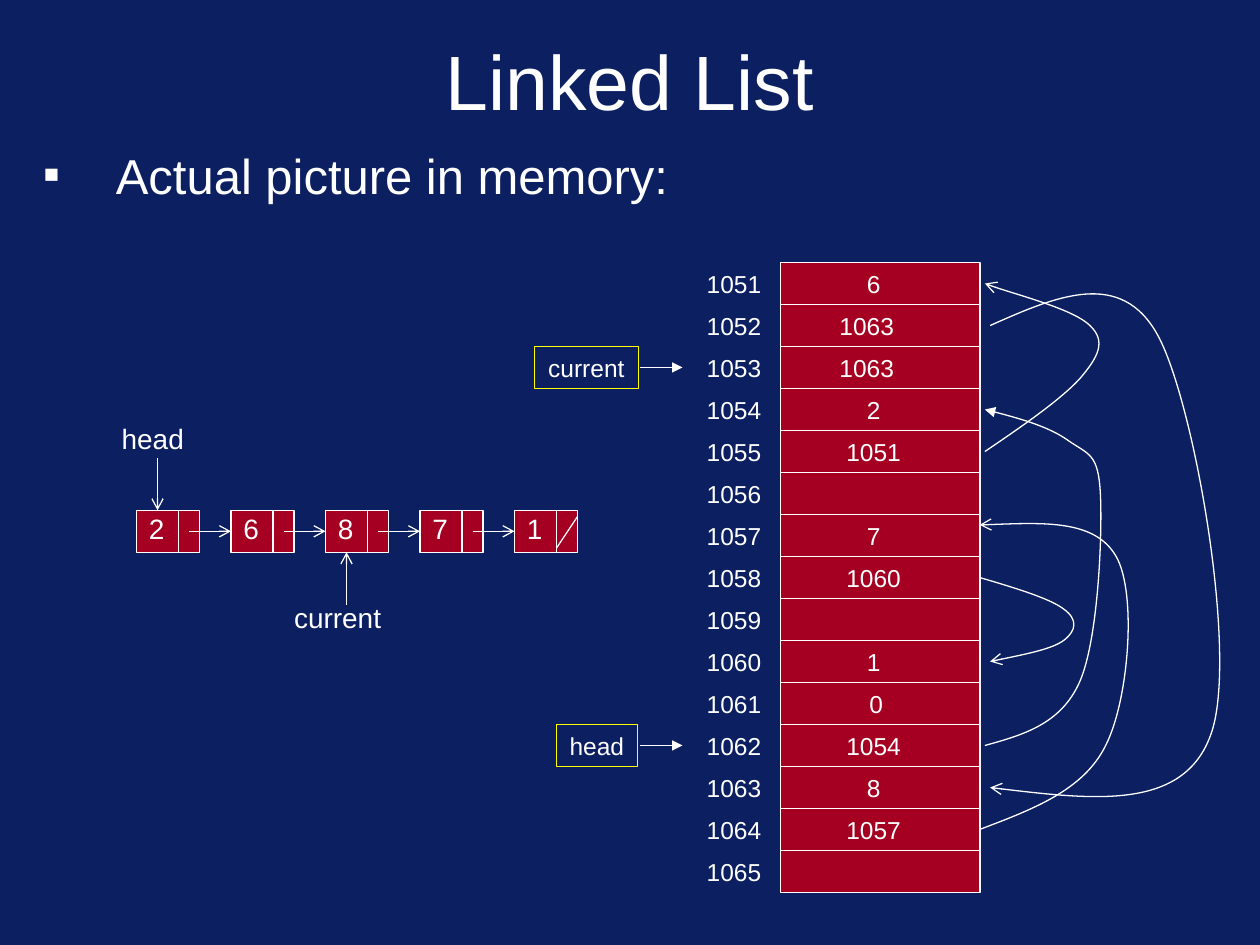
from dataclasses import dataclass

from lxml.etree import SubElement
from pptx import Presentation
from pptx.dml.color import RGBColor
from pptx.enum.shapes import MSO_CONNECTOR, MSO_SHAPE
from pptx.enum.text import MSO_ANCHOR, MSO_AUTO_SIZE, PP_ALIGN
from pptx.oxml.ns import qn
from pptx.util import Inches, Pt


@dataclass(frozen=True)
class Theme:
    font: str = "Arial"
    back: RGBColor = RGBColor(0x0B, 0x1F, 0x61)
    cell: RGBColor = RGBColor(0xA5, 0x00, 0x21)
    ink: RGBColor = RGBColor(0xFF, 0xFF, 0xFF)
    frame: RGBColor = RGBColor(0xFF, 0xFF, 0x00)
    title: int = 44
    body: int = 28
    tag: int = 16
    memo: int = 14
    stroke: float = 0.75


theme = Theme()
deck = Presentation()
deck.slide_width, deck.slide_height = Inches(10), Inches(7.5)
unit = deck.slide_width / 120  # the slide is a grid of 120 columns by 90 rows
slide = deck.slides.add_slide(deck.slide_layouts[6])
slide.background.fill.solid()
slide.background.fill.fore_color.rgb = theme.back
shapes = slide.shapes


def write(text, box, size, align=PP_ALIGN.CENTER, wrap=False):
    item = shapes.add_textbox(*(round(n * unit) for n in box))
    frame = item.text_frame
    frame.word_wrap = wrap
    frame.auto_size = MSO_AUTO_SIZE.SHAPE_TO_FIT_TEXT
    para = frame.paragraphs[0]
    para.alignment = align
    run = para.add_run()
    run.text = text
    run.font.name, run.font.size = theme.font, Pt(size)
    run.font.color.rgb = theme.ink
    return item


def draw(kind, points, tip=None):
    """Draw a "box" or "line" between two corners, or a "curve" of Bezier points."""
    spots = [(round(x * unit), round(y * unit)) for x, y in points]
    (left, top), (right, low) = spots[0], spots[-1]
    if kind == "line":
        item = shapes.add_connector(MSO_CONNECTOR.STRAIGHT, left, top, right, low)
    elif kind == "box":
        item = shapes.add_shape(MSO_SHAPE.RECTANGLE, left, top, right - left, low - top)
        item.fill.solid()
        item.fill.fore_color.rgb = theme.cell
    else:
        pen = shapes.build_freeform(left, top)
        pen.add_line_segments(spots[1:], close=False)
        item = pen.convert_to_shape()
        item.fill.background()
        legs = list(item._element.iter(qn("a:lnTo")))
        for i in range(0, len(legs), 3):
            bend = SubElement(legs[i].getparent(), qn("a:cubicBezTo"))
            for leg in legs[i:i + 3]:
                bend.append(leg[0])
                leg.getparent().remove(leg)
    item.line.color.rgb, item.line.width = theme.ink, Pt(theme.stroke)
    props = item._element.spPr
    if tip:
        SubElement(props.find(qn("a:ln")), qn("a:tailEnd"), type=tip)
    SubElement(props, qn("a:effectLst"))
    return item


# Heading and bullet
head = write("Linked List", (6, 2.8, 108, 9.5), theme.title, wrap=True)
head.text_frame.auto_size = MSO_AUTO_SIZE.NONE
head.text_frame.vertical_anchor = MSO_ANCHOR.MIDDLE

body = write("Actual picture in memory:", (2.9, 14.3, 108, 9), theme.body, PP_ALIGN.LEFT, True)
body.text_frame.auto_size = MSO_AUTO_SIZE.NONE
para = body.text_frame.paragraphs[0]
para.line_spacing = 0.8
props = para._p.get_or_add_pPr()
props.set("marL", str(Inches(0.58)))
props.set("indent", str(-Inches(0.58)))
SubElement(props, qn("a:buFont"), typeface=theme.font)
SubElement(props, qn("a:buChar"), char="▪")

# Memory column: one value and its middle for each address from 1051
left, right, top, row = 74.33, 93.33, 25, 4
mid, near, far = 83.2, 82.55, 83.45
cells = [("6", mid), ("1063", near), ("1063", near), ("2", mid), ("1051", mid),
         ("", mid), ("7", mid), ("1060", mid), ("", mid), ("1", mid), ("0", far),
         ("1054", mid), ("8", mid), ("1057", mid), ("", mid)]
draw("box", [(left, top), (right, top + row * len(cells))])
for i, (value, at) in enumerate(cells):
    y = top + i * row
    if i:
        draw("line", [(left, y), (right, y)])
    write(str(1051 + i), (66.1, y, 7.6, row), theme.memo)
    if value:
        wide = 7.6 if len(value) > 1 else 3.7
        write(value, (at - wide / 2, y, wide, row), theme.memo)

# Variables that point into memory
for name, x, wide, i in (("current", 50.9, 9.9, 2), ("head", 53, 7.7, 11)):
    y = top + i * row
    box = write(name, (x, y, wide, row), theme.memo)
    box.line.color.rgb, box.line.width = theme.frame, Pt(theme.stroke)
    draw("line", [(61, y + row / 2), (65, y + row / 2)], "triangle")

# Links between memory cells
curves = [
    ("arrow", [(93.8, 43), (97.5, 40.5), (101.1, 38), (102.9, 36), (104.6, 34),
               (105.4, 32.5), (103.8, 31), (102.3, 29.5), (95.5, 27.7), (93.8, 27)]),
    ("arrow", [(94.3, 31), (100.6, 28.2), (106.8, 25.5), (110.3, 32), (113.8, 38.5),
               (118, 62.8), (115.3, 70), (112.7, 77.2), (103.5, 76.1), (94.3, 75)]),
    ("arrow", [(93.3, 79), (98.3, 77.1), (103.2, 75.3), (105.3, 71), (107.5, 66.7),
               (108.3, 56.5), (106.3, 53), (104.3, 49.5), (98.8, 49.8), (93.3, 50)]),
    ("arrow", [(93.3, 55), (96.7, 56), (100, 57), (101.3, 58), (102.7, 59),
               (102.5, 60.1), (101.3, 61), (100.2, 61.8), (97.2, 62.4), (94.3, 63)]),
    ("triangle", [(93.8, 71), (97.4, 70), (101, 69), (102.8, 65), (104.6, 61),
                  (105, 50.9), (104.8, 47), (104.6, 43.2), (103.7, 43.3),
                  (101.8, 42), (100, 40.7), (97, 39.8), (93.8, 39)]),
]
for tip, points in curves:
    draw("curve", points, tip)

# Chain of nodes
up, down = 48.6, 52.6
link = None
for i, value in enumerate("26871"):
    x = 13 + 9 * i
    node = draw("box", [(x, up), (x + 6, down)])
    if link:
        link.end_connect(node, 1)
    draw("line", [(x + 4, up), (x + 4, down)])
    write(value, (x, 48.1, 3.2, 4.4), theme.tag, PP_ALIGN.LEFT, True)
    if i < 4:
        link = draw("line", [(x + 5, 50.6), (x + 9, 50.6)], "arrow")
draw("line", [(55, 49.2), (53, 52.2)])

write("head", (10.4, 39.6, 8.3, 4.4), theme.tag)
draw("line", [(15, 43.6), (15, up)], "arrow")
write("current", (26.8, 56.6, 10.7, 4.4), theme.tag)
draw("line", [(33, 57.6), (33, down)], "arrow")

deck.save("out.pptx")
